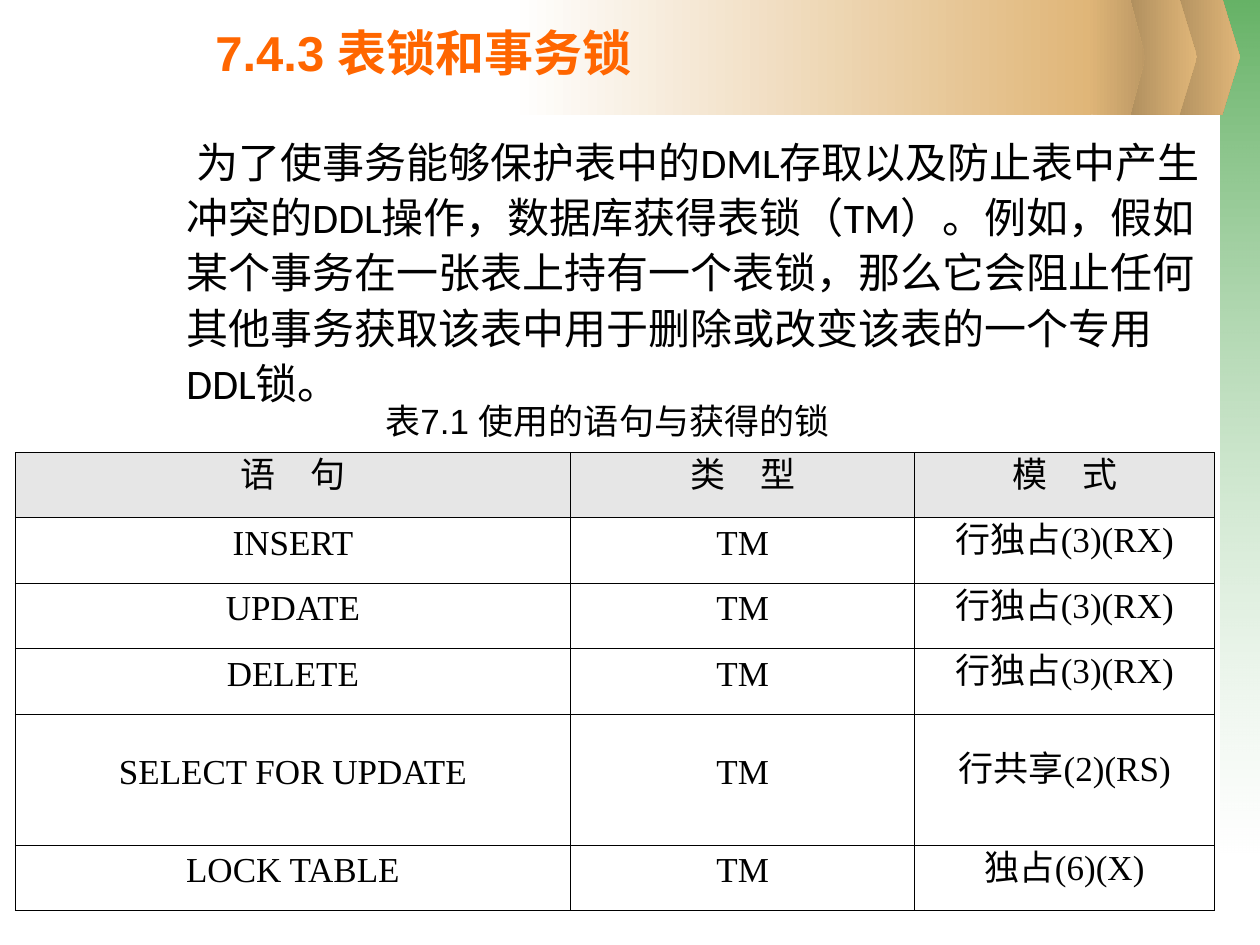
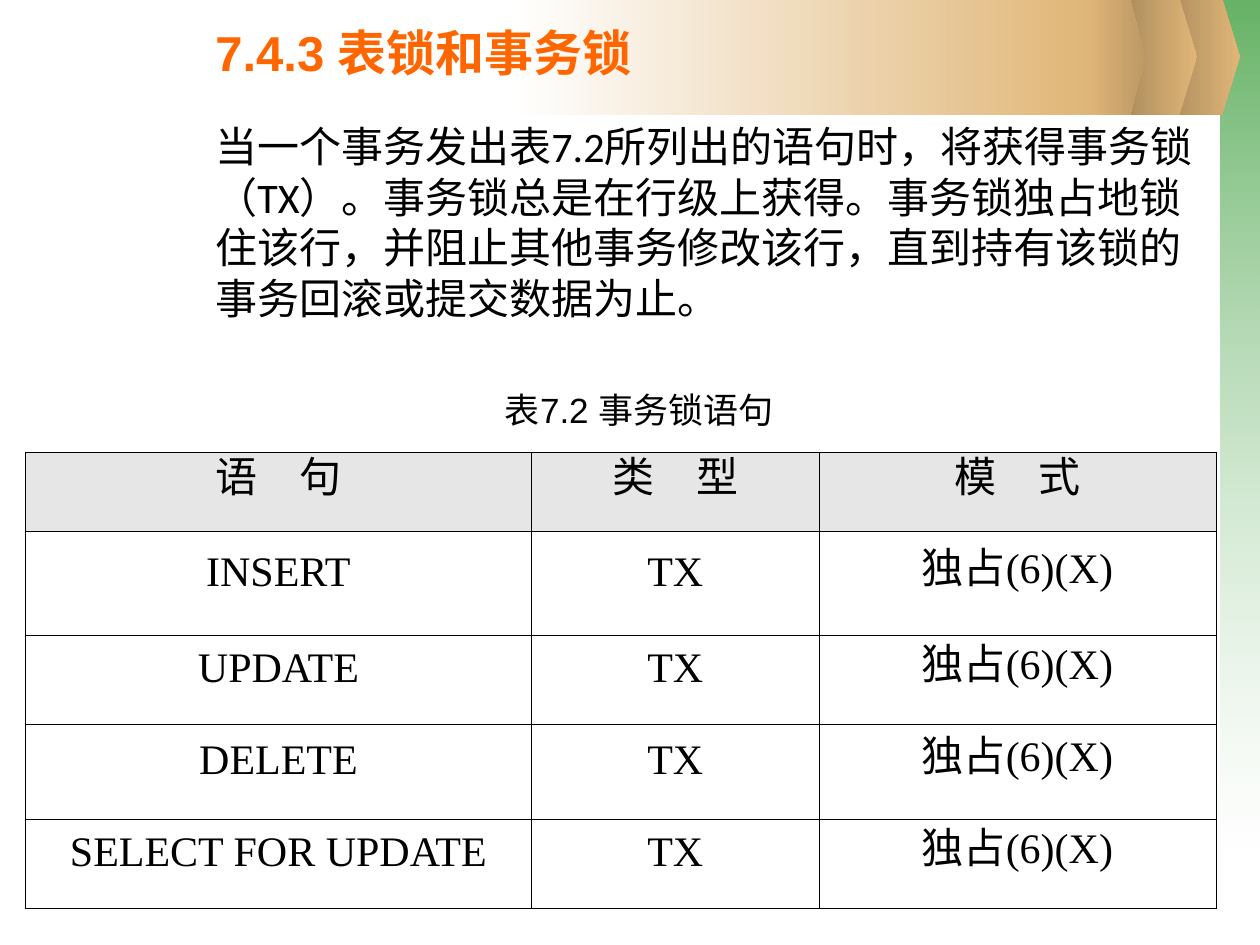
"""Build two slides on table locks and transaction locks."""
from lxml import etree
from pptx import Presentation
from pptx import util as u
from pptx.dml.color import RGBColor
from pptx.enum import shapes, text
from pptx.oxml import ns

COLORS = {
    "title": "FF6600",
    "ink": "000000",
    "header": "E6E6E6",
    "white": "FFFFFF",
    "green": "339933",
    "sand": "E0B678",
    "brown": "AB8B5C",
    "tan": "BD9965",
}
TITLE = "7.4.3 表锁和事务锁"
HEADER = ("语　句", "类　型", "模　式")


def rgb(name):
    return RGBColor.from_string(COLORS[name])


def set_font(paragraph, face, size, color="ink", bold=False):
    font = paragraph.font
    font.name, font.size, font.bold = face, u.Pt(size), bold
    font.color.rgb = rgb(color)


def place(item, box):
    item.left, item.top, item.width, item.height = map(u.Inches, box)


def paint_gradient(shape, start, end, angle=0, opacities=()):
    shape.shadow.inherit = False
    shape.line.fill.background()
    shape.fill.gradient()
    shape.fill.gradient_angle = angle
    for stop, color in zip(shape.fill.gradient_stops, (start, end)):
        stop.color.rgb = rgb(color)
    stop_colors = shape.element.spPr.iter(ns.qn("a:srgbClr"))
    for stop_color, opacity in zip(stop_colors, opacities):
        etree.SubElement(stop_color, ns.qn("a:alpha"), val=str(opacity * 1000))


def add_band(slide, box):
    return slide.shapes.add_shape(shapes.MSO_SHAPE.RECTANGLE, *map(u.Inches, box))


def add_chevron(slide, left, top, body, tip, height):
    right, bottom = left + body, top + height
    outline = [(left, top), (right, top), (right + tip, top + height / 2),
               (right, bottom), (left, bottom)]
    points = [(u.Inches(x), u.Inches(y)) for x, y in outline]
    builder = slide.shapes.build_freeform(*points[0])
    builder.add_line_segments(points[1:], close=True)
    return builder.convert_to_shape()


def decorate_layout(slide):
    """Draw the shared bands and move them behind everything on the layout."""
    side_band = add_band(slide, (9.69, 0, 0.31, 6.77))
    paint_gradient(side_band, "green", "white", 270, (75, 37))
    decorations = [side_band]
    for left in (9.25, 8.91):
        chevron = add_chevron(slide, left, -0.01, 0.45, 0.14, 0.92)
        paint_gradient(chevron, "brown", "sand")
        decorations.append(chevron)
    title_band = add_band(slide, (4.06, 0, 4.6, 0.91))
    paint_gradient(title_band, "white", "sand")
    band_tip = add_chevron(slide, 8.62, 0, 0.35, 0.12, 0.91)
    paint_gradient(band_tip, "sand", "tan")
    decorations += [title_band, band_tip]
    for position, decoration in enumerate(decorations, start=2):
        slide.slide_layout.shapes.element.insert(position, decoration.element)


def fill_placeholder(placeholder, box, wording):
    place(placeholder, box)
    frame = placeholder.text_frame
    frame.text = wording
    frame.word_wrap = True
    frame.auto_size = text.MSO_AUTO_SIZE.NONE
    frame.vertical_anchor = text.MSO_ANCHOR.TOP
    paragraph = frame.paragraphs[0]
    paragraph.alignment = text.PP_ALIGN.LEFT
    paragraph.space_before = u.Pt(0)
    return paragraph


def add_title(slide):
    heading = fill_placeholder(slide.shapes.title, (1.61, 0.13, 5.43, 0.57), TITLE)
    set_font(heading, "Arial", 28, "title", bold=True)


def add_explanation(slide, box, wording, line_spacing=1.0, indent=0):
    explanation = fill_placeholder(slide.placeholders[1], box, wording)
    properties = explanation._p.get_or_add_pPr()
    properties.set("marL", "0")
    properties.set("indent", str(u.Inches(indent)))
    etree.SubElement(properties, ns.qn("a:buNone"))
    explanation.line_spacing = line_spacing
    set_font(explanation, "Calibri", 24)


def add_caption(slide, box, wording):
    frame = slide.shapes.add_textbox(*map(u.Inches, box)).text_frame
    frame.text = wording
    frame.word_wrap = False
    frame.auto_size = text.MSO_AUTO_SIZE.SHAPE_TO_FIT_TEXT
    frame.vertical_anchor = text.MSO_ANCHOR.MIDDLE
    set_font(frame.paragraphs[0], "Arial", 20)


def add_borders(cell):
    properties = cell._tc.get_or_add_tcPr()
    for side in ("lnL", "lnR", "lnT", "lnB"):
        border = etree.SubElement(properties, ns.qn(f"a:{side}"), w=str(u.Pt(0.45)))
        border_fill = etree.SubElement(border, ns.qn("a:solidFill"))
        etree.SubElement(border_fill, ns.qn("a:srgbClr"), val=COLORS["ink"])


def format_cell(cell, wording, size, is_header):
    add_borders(cell)
    if is_header:
        cell.fill.solid()
        cell.fill.fore_color.rgb = rgb("header")
    else:
        cell.fill.background()
    cell.margin_left = cell.margin_right = u.Inches(0.08)
    cell.vertical_anchor = text.MSO_ANCHOR.MIDDLE
    cell.text = wording
    paragraph = cell.text_frame.paragraphs[0]
    paragraph.alignment = text.PP_ALIGN.CENTER
    paragraph.line_spacing = u.Pt(14)
    set_font(paragraph, "Times New Roman", size)


def add_lock_table(slide, left, widths, heights, lock_type, modes, size):
    rows = [HEADER] + [(statement, lock_type, mode) for statement, mode in modes]
    box = (left, 3.59, sum(widths), sum(heights))
    table = slide.shapes.add_table(len(rows), len(HEADER), *map(u.Inches, box)).table
    table.first_row = table.horz_banding = False
    for column, width in zip(table.columns, widths):
        column.width = u.Inches(width)
    for row_index, (row, height) in enumerate(zip(rows, heights)):
        table.rows[row_index].height = u.Inches(height)
        for column_index, wording in enumerate(row):
            format_cell(table.cell(row_index, column_index), wording, size, row_index == 0)


def build_table_locks(slide):
    add_title(slide)
    add_explanation(
        slide, (1.38, 0.99, 8.35, 2.3),
        "为了使事务能够保护表中的DML存取以及防止表中产生冲突的DDL操作，"
        "数据库获得表锁（TM）。例如，假如某个事务在一张表上持有一个表锁，"
        "那么它会阻止任何其他事务获取该表中用于删除或改变该表的一个专用DDL锁。",
        line_spacing=1.1, indent=0.08)
    row_exclusive = "行独占(3)(RX)"
    modes = [(statement, row_exclusive) for statement in ("INSERT", "UPDATE", "DELETE")]
    modes += [("SELECT FOR UPDATE", "行共享(2)(RS)"), ("LOCK TABLE", "独占(6)(X)")]
    add_lock_table(slide, 0.12, (4.41, 2.73, 2.38), [0.52] * 4 + [1.04, 0.52],
                   "TM", modes, 20)
    add_caption(slide, (2.96, 3.12, 3.93, 0.44), "表7.1 使用的语句与获得的锁")


def build_transaction_locks(slide):
    add_title(slide)
    add_explanation(
        slide, (1.61, 0.91, 8.07, 2.1),
        "当一个事务发出表7.2所列出的语句时，将获得事务锁（TX）。"
        "事务锁总是在行级上获得。事务锁独占地锁住该行，并阻止其他事务修改该行，"
        "直到持有该锁的事务回滚或提交数据为止。")
    statements = ("INSERT", "UPDATE", "DELETE", "SELECT FOR UPDATE")
    modes = [(statement, "独占(6)(X)") for statement in statements]
    add_lock_table(slide, 0.2, (4.02, 2.28, 3.15), (0.63, 0.82, 0.71, 0.75, 0.71),
                   "TX", modes, 24)
    add_caption(slide, (3.91, 3.03, 2.54, 0.44), "表7.2 事务锁语句")


def main():
    deck = Presentation()
    deck.slide_width, deck.slide_height = u.Inches(10), u.Inches(7.5)
    layout = deck.slide_layouts[1]
    table_locks = deck.slides.add_slide(layout)
    transaction_locks = deck.slides.add_slide(layout)
    decorate_layout(table_locks)
    build_table_locks(table_locks)
    build_transaction_locks(transaction_locks)
    deck.save("out.pptx")


if __name__ == "__main__":
    main()
